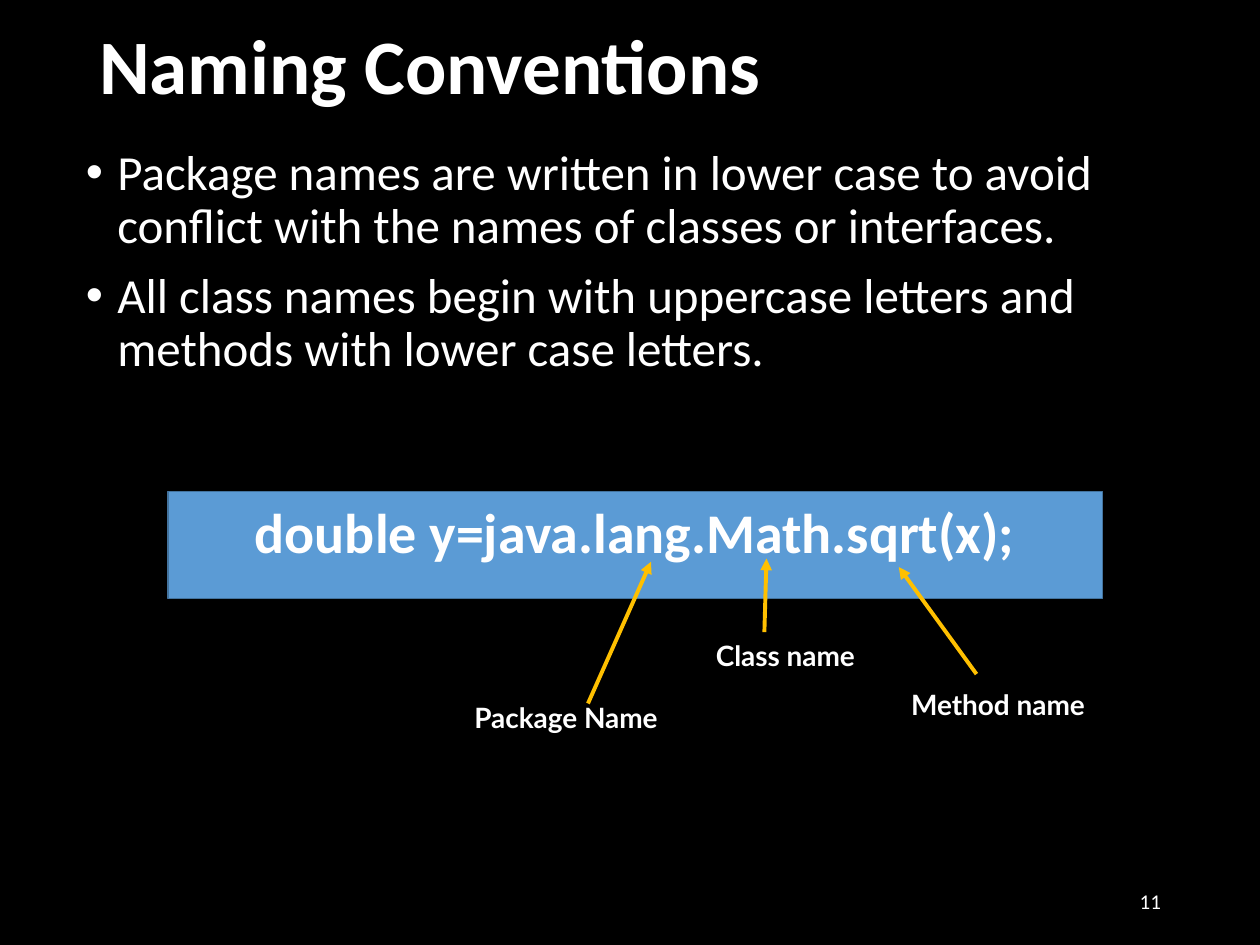
from lxml import etree
from pptx import Presentation
from pptx.dml.color import RGBColor
from pptx.enum.shapes import MSO_CONNECTOR, MSO_SHAPE
from pptx.enum.text import MSO_ANCHOR, MSO_AUTO_SIZE, PP_ALIGN
from pptx.oxml.ns import qn
from pptx.util import Inches, Pt

LEFT, MID, RIGHT = PP_ALIGN.LEFT, PP_ALIGN.CENTER, PP_ALIGN.RIGHT
TOP, CENTRE = MSO_ANCHOR.TOP, MSO_ANCHOR.MIDDLE
NO_FIT = MSO_AUTO_SIZE.NONE
RECT, LINE = MSO_SHAPE.RECTANGLE, MSO_CONNECTOR.STRAIGHT
TITLE_ONLY = 5
COLS, ROWS = 120, 90
COLORS = {"back": "000000", "text": "FFFFFF", "box": "5B9BD5",
          "edge": "43739E", "arrow": "FFC000"}


def color(name):
    return RGBColor.from_string(COLORS[name])


class Deck:
    """Style and current slide; places are in columns and rows of the grid."""

    def __init__(self):
        self.prs = Presentation()
        self.prs.slide_width, self.prs.slide_height = Inches(10), Inches(7.5)
        self.slide = self.prs.slides.add_slide(self.prs.slide_layouts[TITLE_ONLY])
        self.shapes = self.slide.shapes
        fill = self.slide.background.fill
        fill.solid()
        fill.fore_color.rgb = color("back")

    def grid(self, *cells):
        """Turn alternating columns and rows into lengths."""
        units = self.prs.slide_width / COLS, self.prs.slide_height / ROWS
        return [round(n * units[i % 2]) for i, n in enumerate(cells)]

    def label(self, shape, text, size, bold=False, font="Calibri",
              align=LEFT, anchor=TOP):
        frame = shape.text_frame
        frame.text = text
        frame.word_wrap, frame.auto_size = True, NO_FIT
        frame.vertical_anchor = anchor
        for para in frame.paragraphs:
            para.alignment = align
            for run in para.runs:
                run.font.name, run.font.size = font, Pt(size)
                run.font.bold = bold
                run.font.color.rgb = color("text")
        return frame

    def title(self, text, *area):
        shape = self.shapes.title
        shape.left, shape.top, shape.width, shape.height = self.grid(*area)
        frame = self.label(shape, text, 44, bold=True, anchor=CENTRE)
        frame.paragraphs[0].line_spacing = 0.9

    def text(self, text, *area, **style):
        return self.label(self.shapes.add_textbox(*self.grid(*area)), text, **style)

    def bullets(self, items, *area):
        frame = self.text("\n".join(items), *area, size=28)
        for para in frame.paragraphs:
            para.line_spacing, para.space_before = 0.9, Pt(10)
            props = para._p.get_or_add_pPr()
            props.set("marL", str(Inches(0.25)))
            props.set("indent", str(Inches(-0.25)))
            etree.SubElement(props, qn("a:buFont")).set("typeface", "Arial")
            etree.SubElement(props, qn("a:buChar")).set("char", "•")

    def box(self, text, *area):
        shape = self.shapes.add_shape(RECT, *self.grid(*area))
        shape.shadow.inherit = False
        shape.fill.solid()
        shape.fill.fore_color.rgb = color("box")
        shape.line.color.rgb = color("edge")
        shape.line.width = Pt(1)
        self.label(shape, text, 32, bold=True, align=MID)

    def arrow(self, *ends):
        link = self.shapes.add_connector(LINE, *self.grid(*ends))
        link.line.color.rgb = color("arrow")
        link.line.width = Pt(2.25)
        props = link._element.spPr
        head = etree.SubElement(props.find(qn("a:ln")), qn("a:tailEnd"))
        head.set("type", "triangle")
        etree.SubElement(props, qn("a:effectLst"))


def main():
    deck = Deck()
    deck.title("Naming Conventions", 8.25, 3, 103.5, 7.2)
    deck.bullets([
        "Package names are written in lower case to avoid conflict with "
        "the names of classes or interfaces.",
        "All class names begin with uppercase letters and methods with "
        "lower case letters.",
    ], 7, 13.5, 105.2, 25)
    deck.text("11", 84.75, 83.4, 27, 4.8, size=12, align=RIGHT, anchor=CENTRE)
    deck.box("double y=java.lang.Math.sqrt(x);", 16, 46.8, 89, 10.2)

    parts = [
        ("Package Name", (44, 66.1, 23, 4.4), (56, 67, 62, 53.5)),
        ("Class name", (67, 60.2, 17.8, 4.4), (72.8, 60.2, 73, 53.2)),
        ("Method name", (85.6, 64.9, 21.4, 4.4), (93, 64.2, 85.6, 54)),
    ]
    for name, area, ends in parts:
        deck.arrow(*ends)
        deck.text(name, *area, size=16, bold=True, font="Lato")
    deck.prs.save("out.pptx")


if __name__ == "__main__":
    main()
